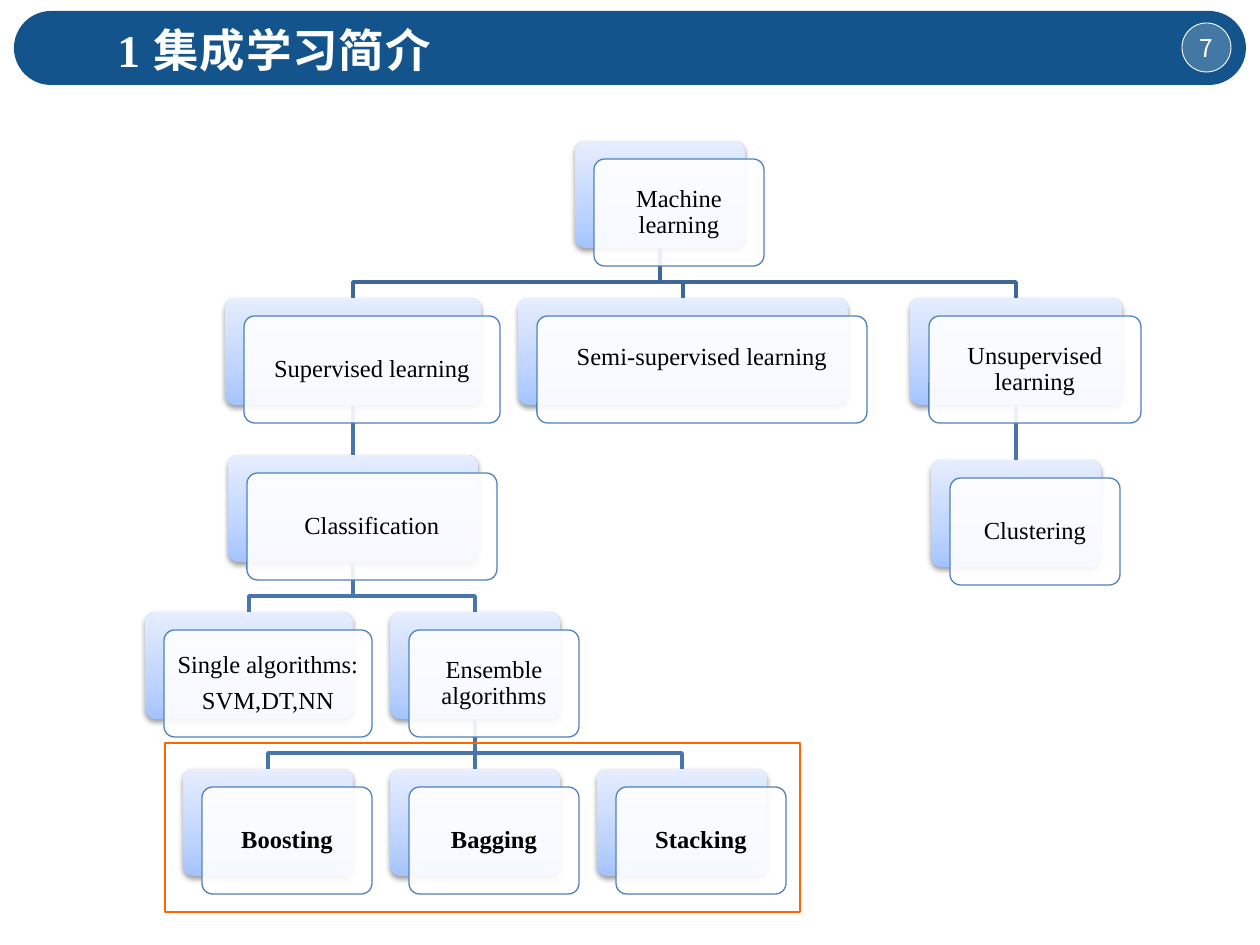
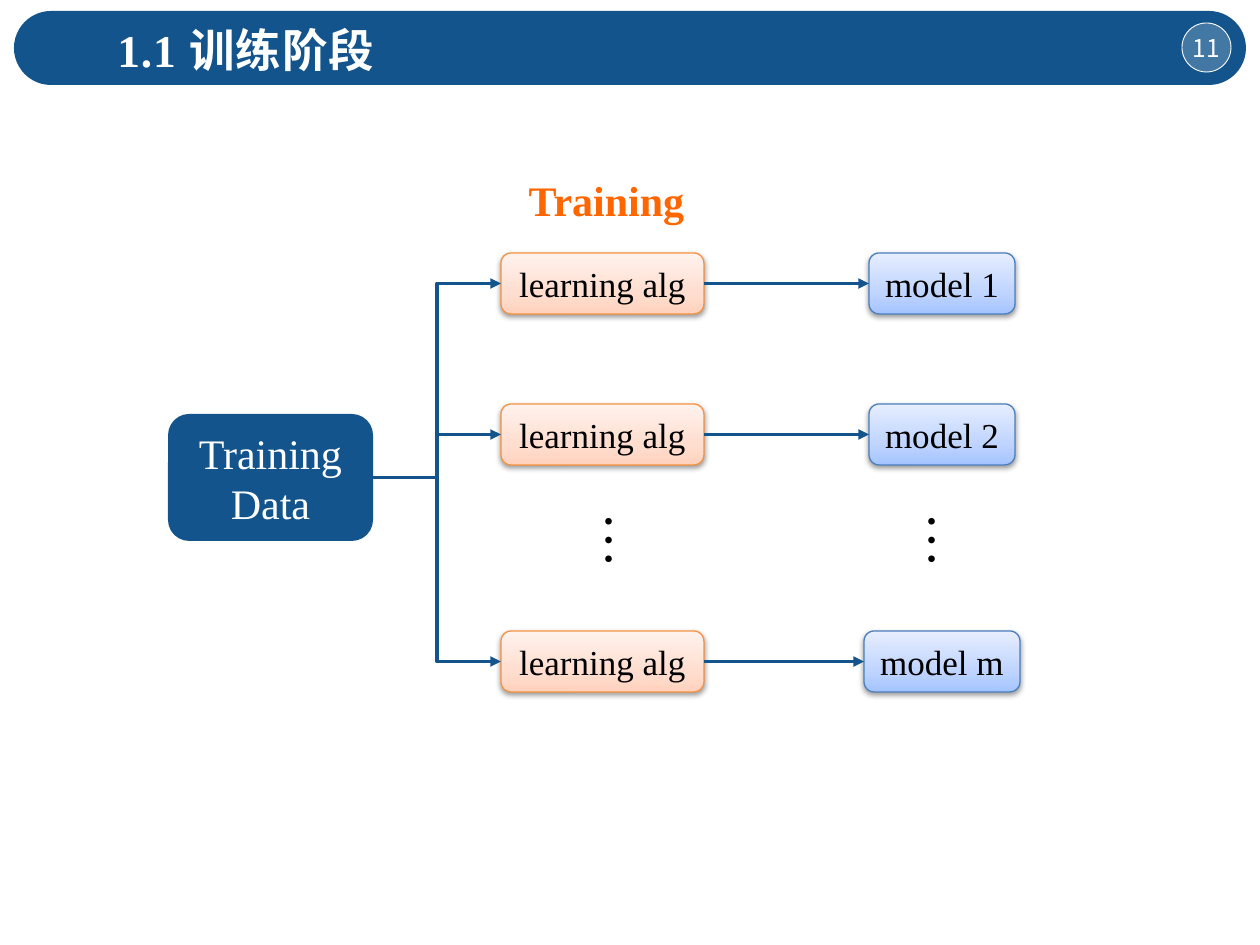
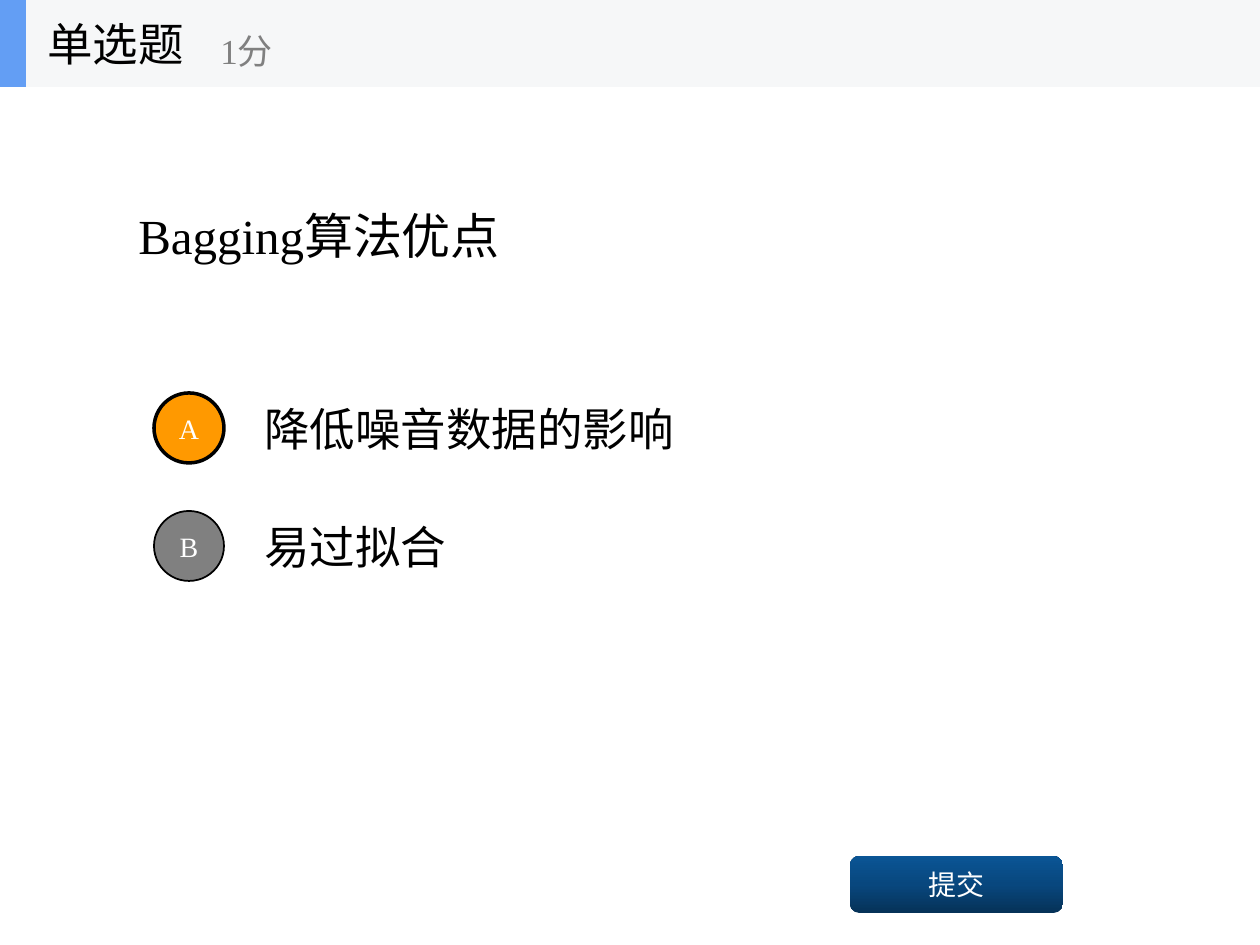
from lxml.etree import SubElement
from copy import deepcopy
from pptx import Presentation
from pptx.dml.color import RGBColor
from pptx.enum.shapes import MSO_CONNECTOR as LINK, MSO_SHAPE as SHAPE
from pptx.enum.text import MSO_ANCHOR, PP_ALIGN
from pptx.oxml.ns import qn
from pptx.util import Emu, Pt

PX = 914400 / 126
LATIN, CJK = "Times New Roman", "Noto Sans CJK SC"
WHITE = RGBColor(0xFF, 0xFF, 0xFF)
BLACK = RGBColor(0x00, 0x00, 0x00)
GRAY = RGBColor(0x80, 0x80, 0x80)
NAVY = RGBColor(0x13, 0x54, 0x8C)
ORANGE = RGBColor(0xFF, 0x66, 0x00)
AMBER = RGBColor(0xFF, 0x99, 0x00)
PALE = RGBColor(0xF6, 0xF7, 0xF8)
SKY = RGBColor(0x63, 0x9E, 0xF4)
CARD_EDGE = RGBColor(0x4F, 0x81, 0xBD)
MODEL_EDGE = RGBColor(0x4B, 0x7E, 0xBC)
ALG_EDGE = RGBColor(0xF6, 0x92, 0x40)
TOP_BRANCH = RGBColor(0x3F, 0x67, 0x97)
BRANCH = RGBColor(0x48, 0x75, 0xAC)
BLUES = [(0, RGBColor(0xA4, 0xC4, 0xFF)), (0.35, RGBColor(0xBF, 0xD4, 0xFF)),
         (1, RGBColor(0xE6, 0xEE, 0xFF))]
PEACHES = [(0, RGBColor(0xFF, 0xD2, 0xBD)), (0.35, RGBColor(0xFF, 0xDE, 0xD0)),
           (1, RGBColor(0xFF, 0xF2, 0xED))]
DEEP_BLUES = [(0, RGBColor(0x06, 0x32, 0x58)), (0.5, RGBColor(0x08, 0x47, 0x7E)),
              (1, RGBColor(0x0A, 0x55, 0x95))]


def box(slide, kind, frame, text="", size=14, color=BLACK, bold=False, align=PP_ALIGN.CENTER,
        font=LATIN, fill=None, opacity=100, edge=None, edge_width=0.75, corner=None,
        shadow=False, margin=None, wrap=True):
    place = [Emu(round(length * PX)) for length in frame]
    if kind is None:
        shape = slide.shapes.add_textbox(*place)
    else:
        shape = slide.shapes.add_shape(kind, *place)
    shape.shadow.inherit = False
    properties = shape._element.spPr
    if corner is not None:
        shape.adjustments[0] = corner
    if isinstance(fill, list):
        shape.fill.gradient()
        shape.fill.gradient_angle = 90
        stop_list = properties.find(qn("a:gradFill")).find(qn("a:gsLst"))
        stop_list.append(deepcopy(stop_list[0]))
        for stop, (position, shade) in zip(shape.fill.gradient_stops, fill):
            stop.position = position
            stop.color.rgb = shade
    elif fill is None:
        shape.fill.background()
    else:
        shape.fill.solid()
        shape.fill.fore_color.rgb = fill
        if opacity < 100:
            SubElement(properties.find(qn("a:solidFill"))[0], qn("a:alpha"), val=str(opacity * 1000))
    if edge is None:
        shape.line.fill.background()
    else:
        shape.line.color.rgb = edge
        shape.line.width = Pt(edge_width)
    if shadow:
        outer = SubElement(properties.find(qn("a:effectLst")), qn("a:outerShdw"), blurRad="40000",
                           dist="20000", dir="5400000", rotWithShape="0")
        black = SubElement(outer, qn("a:srgbClr"), val="000000")
        SubElement(black, qn("a:alpha"), val="38000")
    if text:
        body = shape.text_frame
        body.text = text
        body.word_wrap = wrap
        body.vertical_anchor = MSO_ANCHOR.MIDDLE
        if margin is not None:
            body.margin_left = body.margin_right = Emu(round(margin * PX))
            body.margin_top = body.margin_bottom = Emu(round(margin * PX))
        for paragraph in body.paragraphs:
            paragraph.alignment = align
            for run in paragraph.runs:
                run.font.name = font
                run.font.size = Pt(size)
                run.font.bold = bold
                run.font.color.rgb = color
                if max(run.text) >= "一":
                    SubElement(run._r.get_or_add_rPr(), qn("a:ea"), typeface=CJK)
    return shape


def connect(slide, kind, start, start_side, end, end_side, color, arrow=False):
    link = slide.shapes.add_connector(kind, 0, 0, 0, 0)
    link.begin_connect(start, start_side)
    link.end_connect(end, end_side)
    link.line.color.rgb = color
    link.line.width = Pt(2)
    if arrow:
        SubElement(link.line._get_or_add_ln(), qn("a:tailEnd"), type="triangle")
    SubElement(link._element.spPr, qn("a:effectLst"))


deck = Presentation()
deck.slide_width, deck.slide_height = Emu(round(1260 * PX)), Emu(round(945 * PX))
blank = deck.slide_layouts[6]
overview, training, quiz = [deck.slides.add_slide(blank) for _ in range(3)]

for slide, title, number in [(overview, "1 集成学习简介", "7"), (training, "1.1 训练阶段", "11")]:
    box(slide, SHAPE.ROUNDED_RECTANGLE, (14, 11, 1232, 74), fill=NAVY, corner=0.5)
    box(slide, SHAPE.OVAL, (1182, 23, 49, 49), number, color=WHITE, font=CJK, fill=WHITE,
        opacity=21, edge=WHITE, edge_width=0.5, margin=0, wrap=False)
    heading = box(slide, None, (105, 15, 935, 68), title, 26, WHITE, True, PP_ALIGN.LEFT)
    heading.text_frame.paragraphs[0].runs[0].font._element.set("spc", "50")

ROOT, SUPERVISED, SEMI = "Machine learning", "Supervised learning", "Semi-supervised learning"
UNSUPERVISED, CLASSES, ENSEMBLE = "Unsupervised learning", "Classification", "Ensemble algorithms"
CARD_HEIGHT = 107
tops = [141 + 157 * level for level in range(5)]
tree = [
    (ROOT, None, 660, tops[0], 170),
    (SUPERVISED, ROOT, 353, tops[1], 256),
    (SEMI, ROOT, 683, tops[1], 330),
    (UNSUPERVISED, ROOT, 1016, tops[1], 212),
    (CLASSES, SUPERVISED, 353, tops[2], 250),
    ("Clustering", UNSUPERVISED, 1016, tops[2] + 5, 170),
    ("Single algorithms:\nSVM,DT,NN", CLASSES, 249, tops[3], 208),
    (ENSEMBLE, CLASSES, 475, tops[3], 170),
    ("Boosting", ENSEMBLE, 268, tops[4], 170),
    ("Bagging", ENSEMBLE, 475, tops[4], 170),
    ("Stacking", ENSEMBLE, 682, tops[4], 170),
]
cards, bottoms = {}, {}
for topic, parent, center, top, width in tree:
    cards[topic] = box(overview, SHAPE.ROUNDED_RECTANGLE,
                       (center - width // 2, top, width, CARD_HEIGHT),
                       fill=BLUES, corner=0.1, shadow=True)
    bottoms[topic] = (center, top + CARD_HEIGHT)

for topic, parent, center, top, width in tree[1:]:
    parent_center, parent_bottom = bottoms[parent]
    color = TOP_BRANCH if parent == ROOT else BRANCH
    if center == parent_center:
        connect(overview, LINK.STRAIGHT, cards[parent], 2, cards[topic], 0, color)
        continue
    outline = overview.shapes.build_freeform(parent_center, parent_bottom, scale=PX)
    outline.add_line_segments([(parent_center, top - 16), (center, top - 16), (center, top)],
                              close=False)
    branch = outline.convert_to_shape()
    branch.shadow.inherit = False
    branch.fill.background()
    branch.line.color.rgb = color
    branch.line.width = Pt(2)

for topic, parent, center, top, width in tree:
    label = box(overview, SHAPE.ROUNDED_RECTANGLE,
                (center - width // 2 + 19, top + 18, width, CARD_HEIGHT), topic,
                bold=parent == ENSEMBLE, fill=WHITE, opacity=90, edge=CARD_EDGE,
                corner=0.1, margin=10)
    for index, paragraph in enumerate(label.text_frame.paragraphs):
        paragraph.line_spacing = 0.9
        if index:
            paragraph.space_before = Pt(5)
    if topic == SEMI:
        label.text_frame.margin_bottom = Emu(round(34 * PX))
box(overview, SHAPE.RECTANGLE, (165, 743, 635, 169), edge=ORANGE, edge_width=1.5)

data = box(training, SHAPE.ROUNDED_RECTANGLE, (168, 414, 205, 127), "Training\nData", 24, WHITE,
           fill=NAVY)
box(training, None, (515, 168, 183, 63), "Training", 24, ORANGE, True, wrap=False)
for top, model_name, model_width in [(253, "model 1", 146), (404, "model 2", 146),
                                     (631, "model m", 156)]:
    learner = box(training, SHAPE.ROUNDED_RECTANGLE, (501, top, 203, 61), "learning alg", 20,
                  fill=PEACHES, edge=ALG_EDGE, shadow=True, wrap=False)
    model = box(training, SHAPE.ROUNDED_RECTANGLE, (942 - model_width // 2, top, model_width, 61),
                model_name, 20, fill=BLUES, edge=MODEL_EDGE, shadow=True, wrap=False)
    connect(training, LINK.ELBOW, data, 3, learner, 1, NAVY, arrow=True)
    connect(training, LINK.STRAIGHT, learner, 3, model, 1, NAVY, arrow=True)
for left in (588, 911):
    dots = box(training, None, (left, 500, 82, 81), "…", 32, wrap=False)
    dots.rotation = 90

box(quiz, SHAPE.RECTANGLE, (0, 0, 1260, 87), fill=PALE)
box(quiz, SHAPE.RECTANGLE, (0, 0, 26, 87), fill=SKY)
for frame, text, size, color in [
    ((35, 0, 262, 87), "单选题", 26, BLACK),
    ((208, 15, 315, 71), "1分", 20, GRAY),
    ((126, 87, 1008, 295), "Bagging算法优点", 28, BLACK),
]:
    box(quiz, None, frame, text, size, color, align=PP_ALIGN.LEFT)
for row, (letter, answer, color, edge_width) in enumerate([
    ("A", "降低噪音数据的影响", AMBER, 2),
    ("B", "易过拟合", GRAY, 1),
]):
    top = 384 + 118 * row
    box(quiz, None, (252, top, 882, 88), answer, 26, align=PP_ALIGN.LEFT)
    box(quiz, SHAPE.OVAL, (154, top + 9, 70, 70), letter, 16, WHITE, fill=color, edge=BLACK,
        edge_width=edge_width, margin=0)
box(quiz, SHAPE.ROUNDED_RECTANGLE, (850, 856, 213, 57), "提交", 16, WHITE, fill=DEEP_BLUES)

deck.save("out.pptx")
